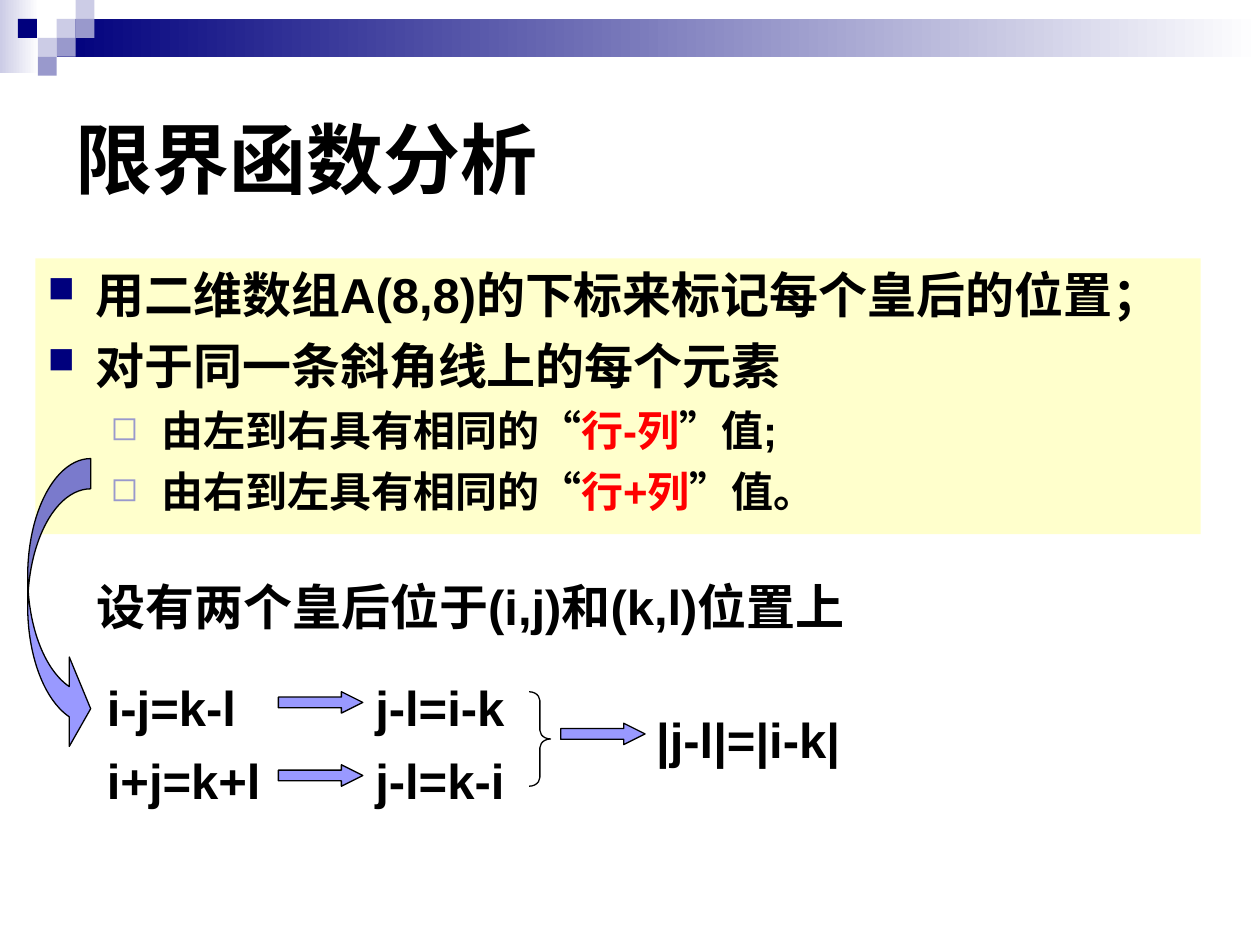
from pptx import Presentation
from pptx import util as u
from pptx.dml.color import RGBColor
from pptx.enum import shapes, text
from pptx.oxml import parse_xml
from pptx.oxml.ns import nsdecls

NAVY = RGBColor(0x00, 0x00, 0x7D)
LAVENDER = RGBColor(0xCC, 0xCC, 0xE6)
MAUVE = RGBColor(0x99, 0x99, 0xCC)
PERIWINKLE = RGBColor(0x99, 0x99, 0xFF)
CREAM = RGBColor(0xFF, 0xFF, 0xCC)
WHITE = RGBColor(0xFF, 0xFF, 0xFF)
BLACK = RGBColor(0x00, 0x00, 0x00)
RED = RGBColor(0xFF, 0x00, 0x00)

# Content
TITLE = "限界函数分析"
BULLETS = [  # level, runs of (text, colour)
    (0, [("用二维数组A(8,8)的下标来标记每个皇后的位置；", BLACK)]),
    (0, [("对于同一条斜角线上的每个元素", BLACK)]),
    (1, [("由左到右具有相同的“", BLACK), ("行-列", RED), ("”值;", BLACK)]),
    (1, [("由右到左具有相同的“", BLACK), ("行+列", RED), ("”值。", BLACK)]),
]
PREMISE = "设有两个皇后位于(i,j)和(k,l)位置上"
DERIVATIONS = [("i-j=k-l", "j-l=i-k"), ("i+j=k+l", "j-l=k-i")]
CONCLUSION = "|j-l|=|i-k|"

LEVELS = [
    dict(size=28, before=7, left=0.38, hang=0.38, mark="■", mark_color=NAVY, percent=75),
    dict(size=24, before=6, left=0.9, hang=0.4, mark="◻", mark_color=MAUVE, percent=80),
]
GRADIENT_BARS = [((0, 0, 0.31, 0.58), LAVENDER), ((0.45, 0.15, 9.55, 0.3), NAVY)]
TILE = 0.15
TILES = [  # column, row, colour
    (3, 1, LAVENDER), (4, 0, LAVENDER), (4, 1, MAUVE), (2, 2, LAVENDER),
    (0.95, 1, NAVY), (3, 2, MAUVE), (2, 3, MAUVE),
]
ROW_TOP, ROW_STEP, TEXT_HEIGHT = 5.33, 0.58, 0.57
ARROW_DROP = 0.16

presentation = Presentation()
presentation.slide_width, presentation.slide_height = u.Inches(10), u.Inches(7.5)
slide = presentation.slides.add_slide(presentation.slide_layouts[6])


def add_shape(kind, box, fill=None, line=None, adjustments=()):
    shape = slide.shapes.add_shape(kind, *map(u.Inches, box))
    shape.shadow.inherit = False
    if fill is None:
        shape.fill.background()
    else:
        shape.fill.solid()
        shape.fill.fore_color.rgb = fill
    if line is None:
        shape.line.fill.background()
    else:
        shape.line.color.rgb = line
        shape.line.width = u.Pt(0.75)
    for index, value in enumerate(adjustments):
        shape.adjustments[index] = value
    return shape


def add_run(paragraph, words, size, color=BLACK):
    run = paragraph.add_run()
    run.text = words
    for name, value in dict(size=u.Pt(size), bold=True, name="Arial").items():
        setattr(run.font, name, value)
    run.font.color.rgb = color


def add_text(box, words, size=28, anchor=text.MSO_ANCHOR.TOP):
    frame = slide.shapes.add_textbox(*map(u.Inches, box)).text_frame
    frame.word_wrap = True
    frame.vertical_anchor = anchor
    add_run(frame.paragraphs[0], words, size)


def add_bullet(paragraph, level):
    properties = paragraph._p.get_or_add_pPr()
    properties.set("marL", str(u.Inches(level["left"])))
    properties.set("indent", str(-u.Inches(level["hang"])))
    for element in (
        f'<a:buClr {nsdecls("a")}><a:srgbClr val="{level["mark_color"]}"/></a:buClr>',
        f'<a:buSzPct {nsdecls("a")} val="{level["percent"] * 1000}"/>',
        f'<a:buChar {nsdecls("a")} char="{level["mark"]}"/>',
    ):
        properties.append(parse_xml(element))


def add_block_arrow(left, top):
    add_shape(shapes.MSO_SHAPE.RIGHT_ARROW, (left, top, 0.67, 0.17),
              PERIWINKLE, BLACK, (0.5, 1))


# Header bars and tiles
for box, color in GRADIENT_BARS:
    bar = add_shape(shapes.MSO_SHAPE.RECTANGLE, box)
    bar.fill.gradient()
    bar.fill.gradient_angle = 0
    for stop, stop_color, position in zip(bar.fill.gradient_stops, (color, WHITE), (0, 1)):
        stop.color.rgb = stop_color
        stop.position = position
for column, row, color in TILES:
    add_shape(shapes.MSO_SHAPE.RECTANGLE, (column * TILE, row * TILE, TILE, TILE), color)

# Title
add_text((0.5, 0.5, 9, 1.5), TITLE, 44, text.MSO_ANCHOR.MIDDLE)

# Bulleted panel
panel = add_shape(shapes.MSO_SHAPE.RECTANGLE, (0.28, 2.05, 9.25, 2.19), CREAM)
frame = panel.text_frame
frame.word_wrap = True
frame.vertical_anchor = text.MSO_ANCHOR.TOP
for index, (depth, runs) in enumerate(BULLETS):
    level = LEVELS[depth]
    paragraph = frame.add_paragraph() if index else frame.paragraphs[0]
    paragraph.level = depth
    paragraph.alignment = text.PP_ALIGN.LEFT
    if index:
        paragraph.space_before = u.Pt(level["before"])
    add_bullet(paragraph, level)
    for words, color in runs:
        add_run(paragraph, words, level["size"], color)

# Premise and curved arrow
add_text((0.67, 4.53, 6.96, TEXT_HEIGHT), PREMISE)
add_shape(shapes.MSO_SHAPE.CURVED_RIGHT_ARROW, (0.22, 3.64, 0.5, 2.34),
          PERIWINKLE, BLACK, (0.48, 1.42, 0.34))

# Derivation rows
for row, (given, derived) in enumerate(DERIVATIONS):
    top = ROW_TOP + row * ROW_STEP
    add_text((0.75, top, 1.67, TEXT_HEIGHT), given)
    add_text((2.88, top, 1.79, TEXT_HEIGHT), derived)
    add_block_arrow(2.21, top + ARROW_DROP)

# Brace and conclusion
add_shape(shapes.MSO_SHAPE.RIGHT_BRACE, (4.2, 5.49, 0.17, 0.75),
          line=BLACK, adjustments=(0.41, 0.5))
conclusion_top = 5.58
add_block_arrow(4.45, conclusion_top + ARROW_DROP)
add_text((5.11, conclusion_top, 1.82, TEXT_HEIGHT), CONCLUSION)

presentation.save("out.pptx")
